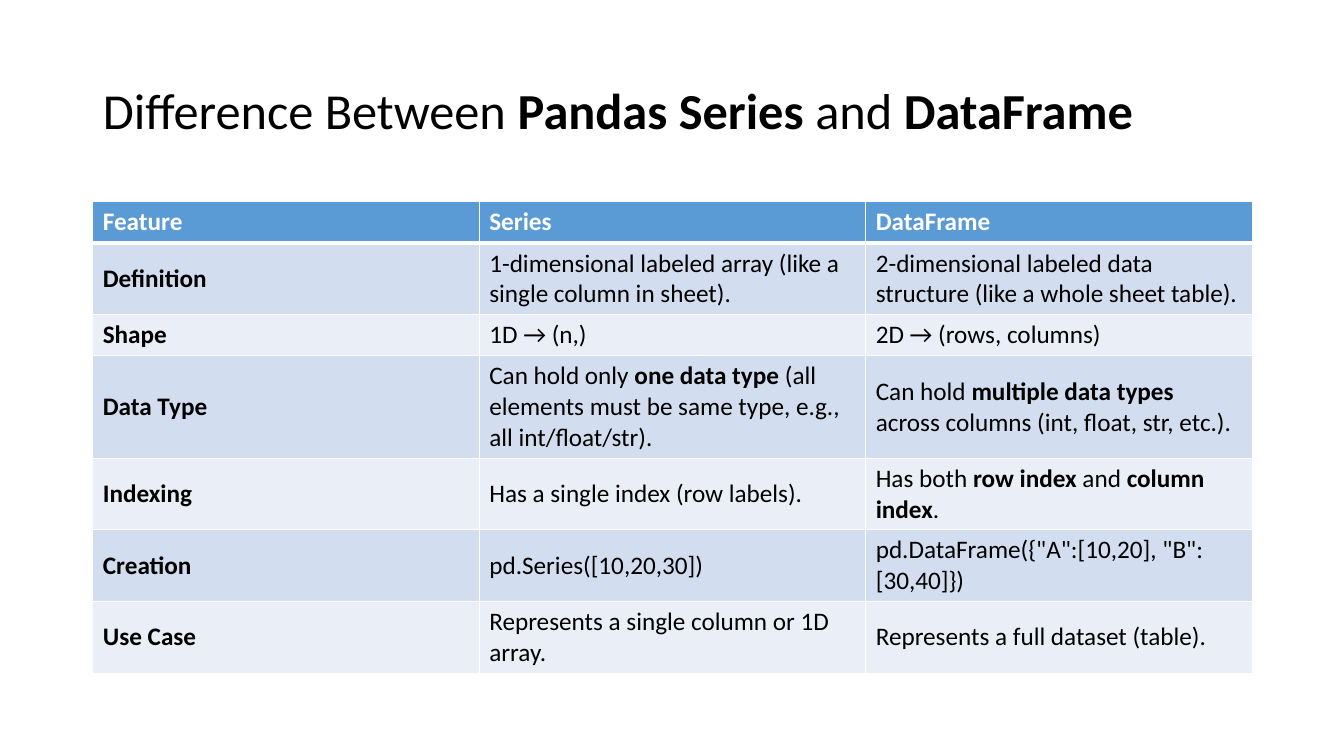
import pptx
import pptx.dml.color
import pptx.enum.text
import pptx.oxml
import pptx.oxml.ns
import pptx.util

WIDTH, HEIGHT = 13.33, 7.5
FONT = "Calibri"
BLACK, WHITE, HEADER = "000000", "FFFFFF", "5B9BD5"
BANDS = ("D2DEEF", "EAEFF7")
ROW_HEIGHT = 0.41

TITLE = "Difference Between **Pandas Series** and **DataFrame**"
ROWS = [
    ("**Feature**", "**Series**", "**DataFrame**"),
    ("**Definition**",
     "1-dimensional labeled array (like a single column in sheet).",
     "2-dimensional labeled data structure (like a whole sheet table)."),
    ("**Shape**", "1D → (n,)", "2D → (rows, columns)"),
    ("**Data Type**",
     "Can hold only **one data type** (all elements must be same type, "
     "e.g., all int/float/str).",
     "Can hold **multiple data types** across columns (int, float, str, etc.)."),
    ("**Indexing**", "Has a single index (row labels).",
     "Has both **row index** and **column index**."),
    ("**Creation**", "pd.Series([10,20,30])",
     'pd.DataFrame({"A":[10,20], "B":[30,40]})'),
    ("**Use Case**", "Represents a single column or 1D array.",
     "Represents a full dataset (table)."),
]


def rgb(value):
    return pptx.dml.color.RGBColor.from_string(value)


def write(tf, text, size=18, color=BLACK, spacing=None):
    """Fill a text frame; parts between ** marks are bold."""
    p = tf.paragraphs[0]
    p.alignment = pptx.enum.text.PP_ALIGN.LEFT
    p.line_spacing = spacing
    for i, part in enumerate(text.split("**")):
        if part:
            r = p.add_run()
            r.text = part
            r.font.name = FONT
            r.font.size = pptx.util.Pt(size)
            r.font.bold = i % 2 == 1
            r.font.color.rgb = rgb(color)


def set_borders(cell, bottom):
    """Draw white cell borders, with the bottom one in its own width."""
    tc_pr = cell._tc.get_or_add_tcPr()
    widths = {"lnL": 1, "lnR": 1, "lnT": 1, "lnB": bottom}
    for i, (side, width) in enumerate(widths.items()):
        tc_pr.insert(i, pptx.oxml.parse_xml(
            f'<a:{side} {pptx.oxml.ns.nsdecls("a")} w="{pptx.util.Pt(width)}">'
            f'<a:solidFill><a:srgbClr val="{WHITE}"/></a:solidFill></a:{side}>'))


def place_title(slide, box):
    sp = slide.shapes.title
    sp.left, sp.top, sp.width, sp.height = map(pptx.util.Inches, box)
    tf = sp.text_frame
    tf.word_wrap = True
    tf.auto_size = pptx.enum.text.MSO_AUTO_SIZE.NONE
    tf.vertical_anchor = pptx.enum.text.MSO_ANCHOR.MIDDLE
    write(tf, TITLE, size=36, spacing=0.9)


def place_table(slide, box):
    frame = slide.shapes.add_table(
        len(ROWS), len(ROWS[0]), *map(pptx.util.Inches, box))
    table = frame.table
    for i, texts in enumerate(ROWS):
        # Rows grow to fit their wrapped text
        table.rows[i].height = pptx.util.Inches(ROW_HEIGHT)
        is_header = i == 0
        for j, text in enumerate(texts):
            cell = table.cell(i, j)
            cell.vertical_anchor = pptx.enum.text.MSO_ANCHOR.MIDDLE
            cell.fill.solid()
            cell.fill.fore_color.rgb = rgb(
                HEADER if is_header else BANDS[(i - 1) % 2])
            set_borders(cell, bottom=3 if is_header else 1)
            write(cell.text_frame, text, color=WHITE if is_header else BLACK)
    frame.height = pptx.util.Inches(box[3])


def main():
    prs = pptx.Presentation()
    prs.slide_width = pptx.util.Inches(WIDTH)
    prs.slide_height = pptx.util.Inches(HEIGHT)
    slide = prs.slides.add_slide(prs.slide_layouts[5])

    # Title and table share the same side margins
    margin = 0.92
    width = 11.5
    place_title(slide, (margin, 0.4, width, 1.45))
    place_table(slide, (margin, 2, width, 4.61))
    prs.save("out.pptx")


if __name__ == "__main__":
    main()
